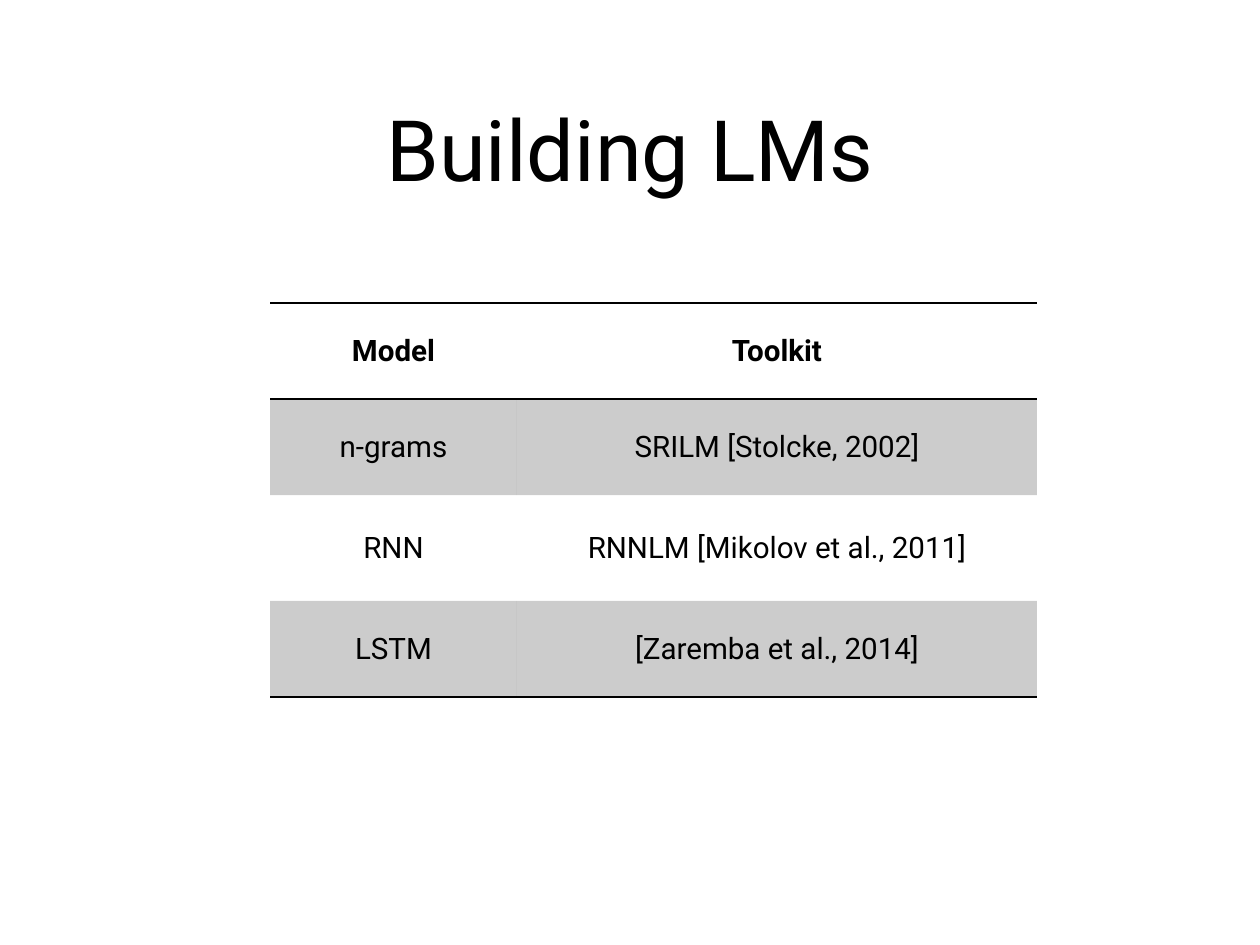
from dataclasses import dataclass

from lxml.etree import SubElement
from pptx import Presentation
from pptx.dml.color import RGBColor
from pptx.enum.text import MSO_ANCHOR, MSO_AUTO_SIZE, PP_ALIGN
from pptx.oxml.ns import qn
from pptx.util import Pt

EMU_PER_PX = 10320


@dataclass(frozen=True)
class Theme:
    font: str = "Roboto"
    ink: str = "000000"
    title_size: float = 68.8
    table_size: float = 24
    rule_width: float = 1
    band_opacity: int = 20


THEME = Theme()

# Table content and grid, lengths in px
ROWS = [
    ("Model", "Toolkit"),
    ("n-grams", "SRILM [Stolcke, 2002]"),
    ("RNN", "RNNLM [Mikolov et al., 2011]"),
    ("LSTM", "[Zaremba et al., 2014]"),
]
COLUMN_WIDTHS = [247, 520]
ROW_HEIGHTS = [96, 96, 106, 96]


def px(length):
    return length * EMU_PER_PX


def apply_format(target, values):
    for name, value in values.items():
        setattr(target, name, value)


def write_text(text_frame, text, size, bold=False):
    """Put one centred line of text in a frame."""
    paragraph = text_frame.paragraphs[0]
    paragraph.alignment = PP_ALIGN.CENTER
    run = paragraph.add_run()
    run.text = text
    apply_format(run.font, {"name": THEME.font, "size": Pt(size), "bold": bold})
    run.font.color.rgb = RGBColor.from_string(THEME.ink)


def set_borders(cell, ruled_sides):
    """Rule the named sides of a cell and clear the others."""
    properties = cell._tc.get_or_add_tcPr()
    for side in "LRTB":
        line = SubElement(properties, qn(f"a:ln{side}"))
        if side in ruled_sides:
            line.set("w", str(Pt(THEME.rule_width)))
            fill = SubElement(line, qn("a:solidFill"))
            SubElement(fill, qn("a:srgbClr"), val=THEME.ink)
        else:
            line.set("w", "0")
            SubElement(line, qn("a:noFill"))


def set_band(cell, shaded):
    """Give a cell a translucent band or no fill."""
    if not shaded:
        cell.fill.background()
        return
    cell.fill.solid()
    cell.fill.fore_color.rgb = RGBColor.from_string(THEME.ink)
    color = cell._tc.tcPr.find(qn("a:solidFill")).find(qn("a:srgbClr"))
    SubElement(color, qn("a:alpha"), val=str(THEME.band_opacity * 1000))


def add_title(slide, text, left, top, width, height):
    title = slide.shapes.title
    apply_format(title, {"left": px(left), "top": px(top),
                         "width": px(width), "height": px(height)})
    apply_format(title.text_frame, {
        "margin_left": 0, "margin_right": 0, "margin_top": 0, "margin_bottom": 0,
        "vertical_anchor": MSO_ANCHOR.MIDDLE, "word_wrap": True,
        "auto_size": MSO_AUTO_SIZE.NONE,
    })
    write_text(title.text_frame, text, THEME.title_size)


def add_model_table(slide, left, top):
    frame = slide.shapes.add_table(
        len(ROWS), len(COLUMN_WIDTHS), px(left), px(top),
        px(sum(COLUMN_WIDTHS)), px(sum(ROW_HEIGHTS)))
    table = frame.table
    apply_format(table, {"first_row": False, "horz_banding": False})

    # Grid
    for column, width in zip(table.columns, COLUMN_WIDTHS):
        column.width = px(width)
    for row, height in zip(table.rows, ROW_HEIGHTS):
        row.height = px(height)

    # Cells: rules around the header and below the last row, odd rows shaded
    ruled_sides = {0: "TB", 1: "T", len(ROWS) - 1: "B"}
    for row_index, labels in enumerate(ROWS):
        for column_index, label in enumerate(labels):
            cell = table.cell(row_index, column_index)
            cell.vertical_anchor = MSO_ANCHOR.MIDDLE
            write_text(cell.text_frame, label, THEME.table_size, bold=row_index == 0)
            set_borders(cell, ruled_sides.get(row_index, ""))
            set_band(cell, shaded=row_index % 2 == 1)


def main():
    presentation = Presentation()
    apply_format(presentation, {"slide_width": px(1260), "slide_height": px(945)})
    title_only = presentation.slide_layouts[5]
    slide = presentation.slides.add_slide(title_only)

    add_title(slide, "Building LMs", 92, 43, 1076, 209)
    add_model_table(slide, 270, 303)

    presentation.save("out.pptx")


if __name__ == "__main__":
    main()
